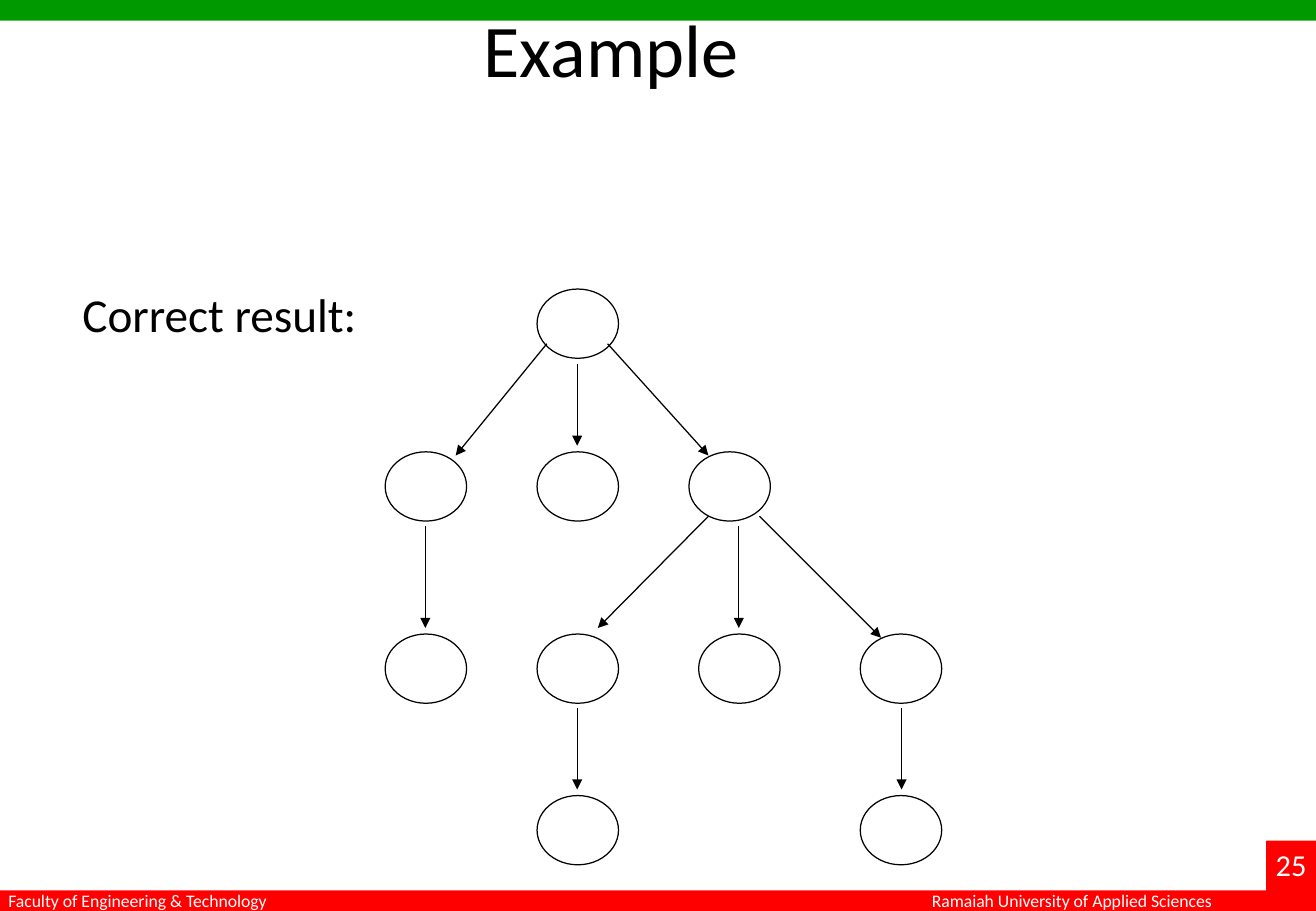
from lxml.etree import SubElement
from pptx import Presentation
from pptx.dml.color import RGBColor
from pptx.enum.shapes import MSO_CONNECTOR as CONN, MSO_SHAPE as SHAPE
from pptx.enum.text import MSO_AUTO_SIZE as FIT, PP_ALIGN as ALIGN
from pptx.oxml.ns import qn
from pptx.util import Inches, Pt

COLORS = {"red": "FF0000", "green": "009900", "black": "000000", "white": "FFFFFF"}
FONT = "Calibri"
NODE_W, NODE_H = 0.67, 0.57
LEVELS = [
    (2.38, [4.42]),
    (3.72, [3.17, 4.42, 5.67]),
    (5.22, [3.17, 4.42, 5.75, 7.08]),
    (6.55, [4.42, 7.08]),
]
ARROWS = [
    (4.5, 2.83, 3.75, 3.75),
    (5, 2.83, 5.83, 3.75),
    (4.75, 3, 4.75, 3.67),
    (3.5, 4.33, 3.5, 5.17),
    (5.83, 4.25, 4.92, 5.17),
    (6.08, 4.33, 6.08, 5.17),
    (6.25, 4.25, 7.25, 5.25),
    (4.75, 5.83, 4.75, 6.5),
    (7.42, 5.83, 7.42, 6.5),
]


def rgb(name):
    return RGBColor.from_string(COLORS[name])


def add_bar(s, x, y, w, h, color):
    sp = s.shapes.add_shape(SHAPE.RECTANGLE, Inches(x), Inches(y), Inches(w), Inches(h))
    sp.shadow.inherit = False
    sp.fill.solid()
    sp.fill.fore_color.rgb = rgb(color)
    sp.line.fill.background()


def add_node(s, x, y):
    sp = s.shapes.add_shape(SHAPE.OVAL, Inches(x), Inches(y), Inches(NODE_W), Inches(NODE_H))
    sp.shadow.inherit = False
    sp.fill.background()
    sp.line.color.rgb = rgb("black")
    sp.line.width = Pt(0.75)


def add_arrow(s, x1, y1, x2, y2):
    cx = s.shapes.add_connector(CONN.STRAIGHT, Inches(x1), Inches(y1), Inches(x2), Inches(y2))
    cx.line.color.rgb = rgb("black")
    cx.line.width = Pt(0.75)
    SubElement(cx.line._get_or_add_ln(), qn("a:tailEnd"), type="triangle")
    SubElement(cx._element.spPr, qn("a:effectLst"))


def add_text(s, text, x, y, w, h, size, color, align=ALIGN.LEFT):
    tf = s.shapes.add_textbox(Inches(x), Inches(y), Inches(w), Inches(h)).text_frame
    tf.word_wrap = False
    tf.auto_size = FIT.SHAPE_TO_FIT_TEXT
    p = tf.paragraphs[0]
    p.alignment = align
    r = p.add_run()
    r.text = text
    r.font.name = FONT
    r.font.size = Pt(size)
    r.font.color.rgb = rgb(color)


def add_frame(s):
    add_bar(s, 0, 7.33, 10.83, 0.17, "red")
    add_bar(s, 0, 0, 10.83, 0.17, "green")
    add_bar(s, 10.42, 6.92, 0.42, 0.58, "red")
    add_text(s, "Ramaiah University of Applied Sciences", 7.57, 7.28, 2.59, 0.28, 10.5, "white")
    add_text(s, "Faculty of Engineering & Technology", -0.03, 7.28, 2.38, 0.28, 10.5, "white")
    add_text(s, "25", 10.4, 6.92, 0.5, 0.4, 18, "white")


def add_tree(s):
    for y, lefts in LEVELS:
        for x in lefts:
            add_node(s, x, y)
    for ends in ARROWS:
        add_arrow(s, *ends)


def main():
    prs = Presentation()
    prs.slide_width, prs.slide_height = Inches(10.83), Inches(7.5)
    s = prs.slides.add_slide(prs.slide_layouts[6])
    add_frame(s)
    add_tree(s)
    add_text(s, "Correct result:", 0.58, 2.3, 2.48, 0.57, 28, "black")
    add_text(s, "Example", 3.87, -0.02, 2.32, 0.84, 44, "black", ALIGN.CENTER)
    prs.save("out.pptx")


if __name__ == "__main__":
    main()
